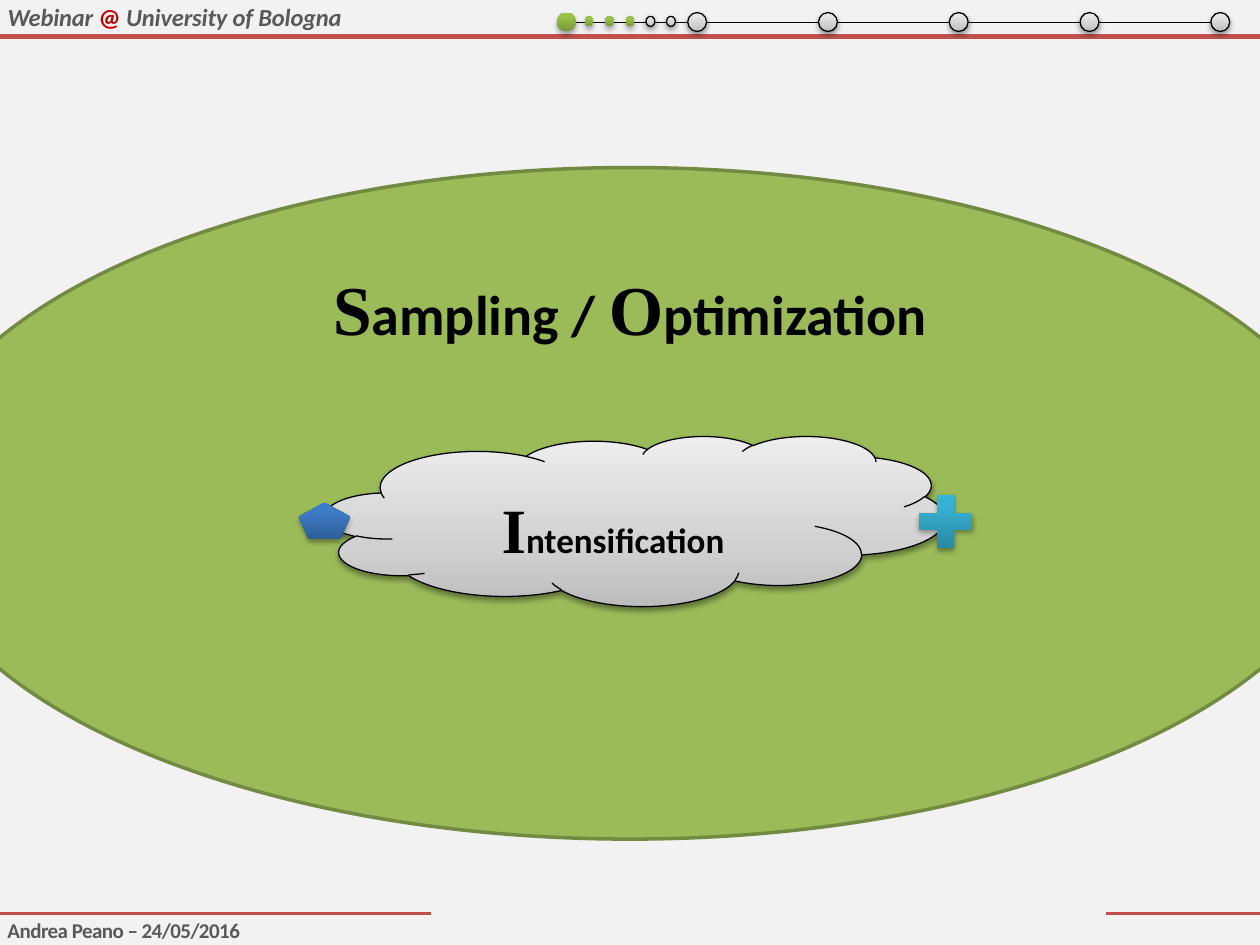
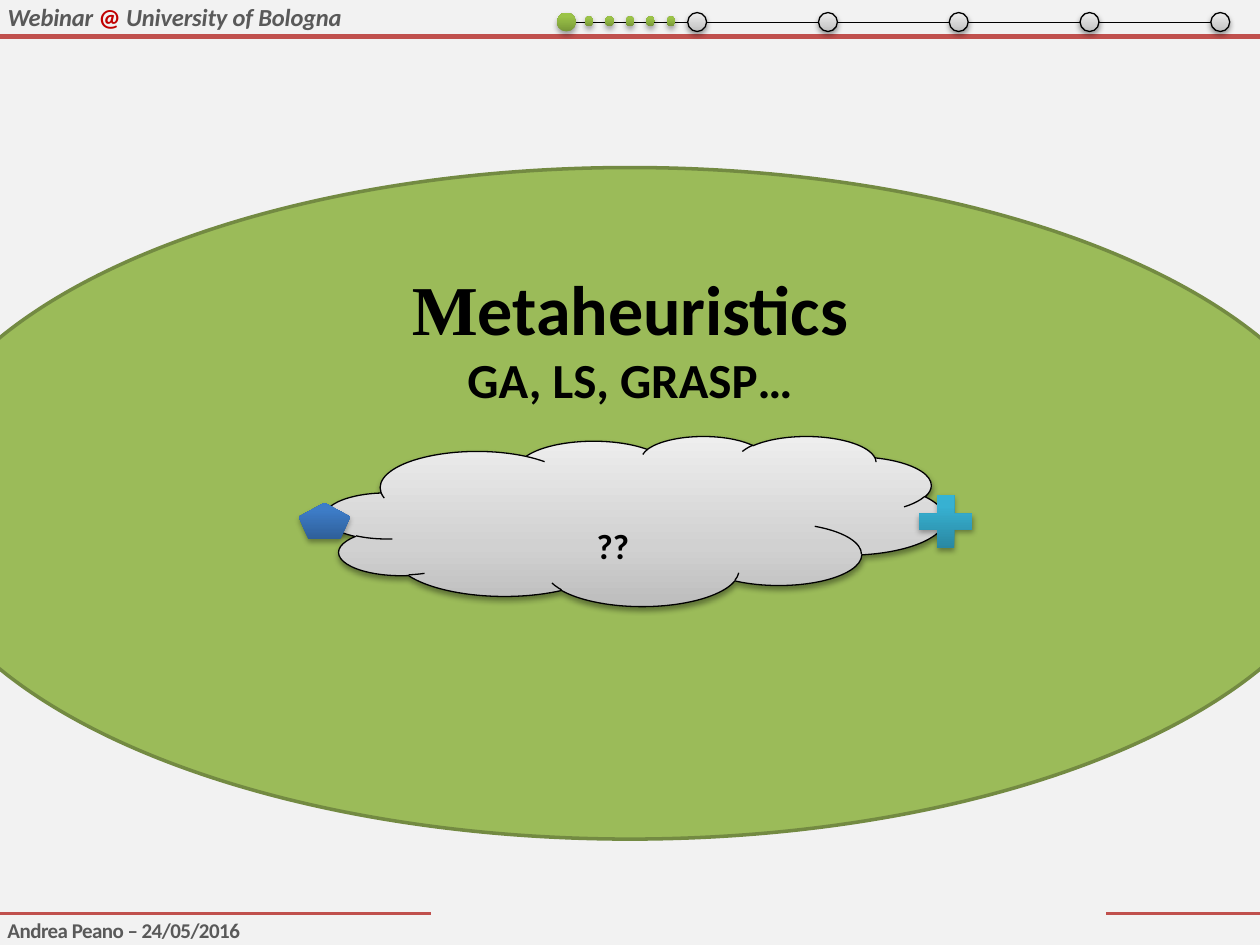
import dataclasses

import pptx
import pptx.dml.color
import pptx.enum.shapes
import pptx.enum.text
import pptx.oxml.ns
import pptx.util
from lxml import etree

Inches = pptx.util.Inches
Pt = pptx.util.Pt
qn = pptx.oxml.ns.qn
SHAPE = pptx.enum.shapes.MSO_SHAPE
ANCHOR = pptx.enum.text.MSO_ANCHOR
ALIGN = pptx.enum.text.PP_ALIGN


@dataclasses.dataclass(frozen=True)
class Theme:
    background: str = "F2F2F2"
    band: str = "C0504D"
    grey_text: str = "595959"
    accent_text: str = "C00000"
    ink: str = "000000"
    oval: str = "9BBB59"
    oval_edge: str = "738A42"
    # Gradients run from bottom to top: (percent, colour)
    silver: tuple = ((0, "BDBDBD"), (35, "D1D1D1"), (100, "EEEEEE"))
    green: tuple = ((0, "779737"), (80, "9BC348"), (100, "9DC746"))
    blue: tuple = ((0, "2F5F99"), (80, "3D7CC7"), (100, "3A7CCB"))
    teal: tuple = ((0, "2A88A2"), (80, "37B1D2"), (100, "34B4D6"))
    body_font: str = "Calibri"
    initial_font: str = "Times New Roman"
    initial_size: int = 40
    title_size: int = 32
    subtitle_size: int = 28
    cloud_initial_size: int = 36
    cloud_size: int = 20
    header_size: int = 14
    footer_size: int = 12


THEME = Theme()


def rgb(value):
    return pptx.dml.color.RGBColor.from_string(value)


def add_run(paragraph, text, size, color=THEME.ink, font=THEME.body_font,
            italic=False, spacing=0):
    """Add a bold run; spacing is in hundredths of a point."""
    run = paragraph.add_run()
    run.text = text
    run.font.name = font
    run.font.size = Pt(size)
    run.font.bold = True
    run.font.italic = italic
    run.font.color.rgb = rgb(color)
    if spacing:
        run.font._element.set("spc", str(spacing))


def write_lines(frame, lines, align):
    """Write paragraphs, each a list of (text, format) pairs."""
    for index, line in enumerate(lines):
        paragraph = frame.paragraphs[0] if index == 0 else frame.add_paragraph()
        paragraph.alignment = align
        for text, style in line:
            add_run(paragraph, text, **style)


def set_margins(frame, left=0, top=0, right=0, bottom=0):
    frame.margin_left, frame.margin_top = Inches(left), Inches(top)
    frame.margin_right, frame.margin_bottom = Inches(right), Inches(bottom)


def add_color(parent, color):
    return etree.SubElement(parent, qn("a:srgbClr"), val=color)


def fill_gradient(shape, stops):
    shape.fill.gradient()
    shape.fill.gradient_angle = 90
    stop_list = shape._element.spPr.find(qn("a:gradFill")).find(qn("a:gsLst"))
    for stop in list(stop_list):
        stop_list.remove(stop)
    for percent, color in stops:
        add_color(etree.SubElement(stop_list, qn("a:gs"), pos=str(percent * 1000)), color)


def cast_shadow(shape, distance, opacity):
    shape.shadow.inherit = False
    effects = shape._element.spPr.find(qn("a:effectLst"))
    shadow = etree.SubElement(effects, qn("a:outerShdw"), blurRad="40000",
                              dist=str(distance), dir="5400000", rotWithShape="0")
    etree.SubElement(add_color(shadow, THEME.ink), qn("a:alpha"), val=str(opacity * 1000))


def add_solid(shapes, kind, box, gradient, outlined=False):
    """Add a gradient shape with a soft shadow and an optional black outline."""
    solid = shapes.add_shape(kind, *map(Inches, box))
    fill_gradient(solid, gradient)
    if outlined:
        solid.line.color.rgb = rgb(THEME.ink)
        solid.line.width = Pt(0.75)
        cast_shadow(solid, distance=20000, opacity=38)
    else:
        solid.line.fill.background()
        cast_shadow(solid, distance=23000, opacity=35)
    return solid


def add_rule(shapes, start, end, y, color, width):
    rule = shapes.add_connector(pptx.enum.shapes.MSO_CONNECTOR.STRAIGHT,
                                Inches(start), Inches(y), Inches(end), Inches(y))
    rule.line.color.rgb = rgb(color)
    rule.line.width = Pt(width)
    etree.SubElement(rule._element.spPr, qn("a:effectLst"))


def add_label(slide, box, line, wrap):
    frame = slide.shapes.add_textbox(*map(Inches, box)).text_frame
    frame.word_wrap = wrap
    set_margins(frame)
    write_lines(frame, [line], ALIGN.LEFT)


def add_bands(slide):
    """Add the header and footer texts with their red rules."""
    for start, end, y, width in ((0, 3.42, 7.25, 2.25), (8.78, 10, 7.25, 2.25),
                                 (0, 10, 0.29, 3)):
        add_rule(slide.shapes, start, end, y, THEME.band, width)
    header = dict(size=THEME.header_size, color=THEME.grey_text, italic=True, spacing=-10)
    add_label(slide, (0.06, 0.02, 4.42, 0.24), [
        ("Webinar ", header),
        ("@ ", {**header, "color": THEME.accent_text, "italic": False}),
        ("University of Bologna", header)], wrap=True)
    add_label(slide, (0.06, 7.28, 1.87, 0.2), [
        ("Andrea Peano – 24/05/2016",
         dict(size=THEME.footer_size, color=THEME.grey_text, spacing=-30))], wrap=False)


def add_oval(slide):
    """Add the large green oval behind everything else on the slide."""
    oval = slide.shapes.add_shape(SHAPE.OVAL, *map(Inches, (-0.75, 1.33, 11.5, 5.33)))
    oval.shadow.inherit = False
    oval.fill.solid()
    oval.fill.fore_color.rgb = rgb(THEME.oval)
    oval.line.color.rgb = rgb(THEME.oval_edge)
    oval.line.width = Pt(2)
    slide.shapes.title._element.addprevious(oval._element)


def set_title(slide, lines):
    title = slide.shapes.title
    title.left, title.top, title.width, title.height = map(Inches, (0.93, 2.11, 8.14, 1.3))
    frame = title.text_frame
    frame.auto_size = pptx.enum.text.MSO_AUTO_SIZE.NONE
    frame.vertical_anchor = ANCHOR.TOP
    set_margins(frame, left=0.1, right=0.1, bottom=0.05)
    write_lines(frame, lines, ALIGN.CENTER)


def add_cloud(slide, line):
    shapes = slide.shapes.add_group_shape().shapes
    cloud = add_solid(shapes, SHAPE.CLOUD, (2.58, 3.46, 4.92, 1.35), THEME.silver, outlined=True)
    cloud.text_frame.vertical_anchor = ANCHOR.BOTTOM
    write_lines(cloud.text_frame, [line], ALIGN.CENTER)
    add_solid(shapes, SHAPE.REGULAR_PENTAGON, (2.37, 3.99, 0.41, 0.29), THEME.blue)
    plus = add_solid(shapes, SHAPE.CROSS, (7.29, 3.93, 0.43, 0.42), THEME.teal)
    plus.adjustments[0] = 0.35


def add_progress(slide, steps_done):
    """Add the section track; steps_done of the five small dots are green."""
    shapes = slide.shapes.add_group_shape().shapes
    section_count, section_size, first, last = 6, 0.15, 4.42, 9.61
    gap = (last - first) / (section_count - 1)

    def add_dot(box, done):
        add_solid(shapes, SHAPE.OVAL, box, THEME.green if done else THEME.silver,
                  outlined=not done)

    for section in range(section_count):
        left = first + section * gap
        add_dot((left, 0.1, section_size, section_size), done=section == 0)
        if section < section_count - 1:
            add_rule(shapes, left + section_size, left + gap, 0.18, THEME.ink, 0.75)

    step_count, first_step, last_step = 5, 4.64, 5.29
    step_gap = (last_step - first_step) / (step_count - 1)
    for step in range(step_count):
        add_dot((first_step + step * step_gap, 0.13, 0.07, 0.08), done=step < steps_done)


def add_topic_slide(deck, title_lines, cloud_line, steps_done):
    slide = deck.slides.add_slide(deck.slide_layouts.get_by_name("Title Only"))
    add_oval(slide)
    set_title(slide, title_lines)
    add_bands(slide)
    add_cloud(slide, cloud_line)
    add_progress(slide, steps_done)


def main():
    deck = pptx.Presentation()
    deck.slide_width, deck.slide_height = Inches(10), Inches(7.5)
    backdrop = deck.slide_master.background.fill
    backdrop.solid()
    backdrop.fore_color.rgb = rgb(THEME.background)

    initial = dict(size=THEME.initial_size, font=THEME.initial_font)
    cloud_initial = dict(size=THEME.cloud_initial_size, font=THEME.initial_font)
    heading = dict(size=THEME.title_size)
    cloud_text = dict(size=THEME.cloud_size)

    add_topic_slide(
        deck,
        [[("S", initial), ("ampling / ", heading), ("O", initial), ("ptimization", heading)]],
        [("I", cloud_initial), ("ntensification", cloud_text)],
        steps_done=3)
    add_topic_slide(
        deck,
        [[("M", initial), ("etaheuristics", dict(size=THEME.initial_size))],
         [("GA, LS, GRASP…", dict(size=THEME.subtitle_size))]],
        [("??", cloud_text)],
        steps_done=5)
    deck.save("out.pptx")


if __name__ == "__main__":
    main()
